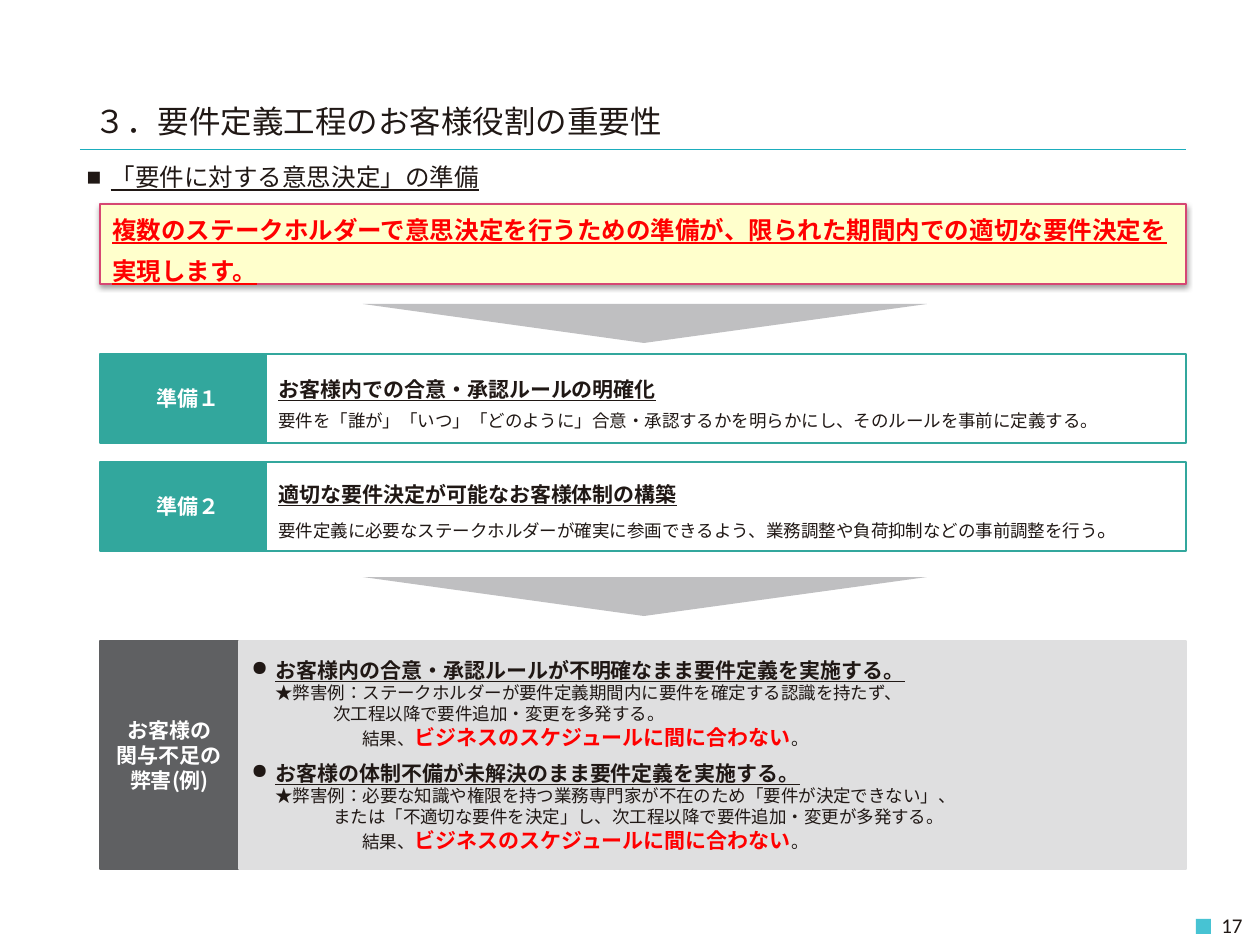
from lxml import etree
from pptx import Presentation
from pptx.dml.color import RGBColor
from pptx.enum.lang import MSO_LANGUAGE_ID
from pptx.enum.shapes import MSO_CONNECTOR, MSO_SHAPE
from pptx.enum.text import MSO_ANCHOR, MSO_AUTO_SIZE, PP_ALIGN
from pptx.oxml import parse_xml
from pptx.oxml.ns import nsdecls, qn
from pptx.util import Pt

EMU_PER_PX = 914400 / 126
RECT, TRIANGLE = MSO_SHAPE.RECTANGLE, MSO_SHAPE.ISOSCELES_TRIANGLE
LEFT, CENTER, RIGHT = PP_ALIGN.LEFT, PP_ALIGN.CENTER, PP_ALIGN.RIGHT
MIDDLE, NO_FIT = MSO_ANCHOR.MIDDLE, MSO_AUTO_SIZE.NONE
JAPANESE = MSO_LANGUAGE_ID.JAPANESE
GOTHIC = "Noto Sans CJK JP"
COLORS = {
    "ink": "201815", "white": "FFFFFF", "red": "FF0000", "teal": "32A79D",
    "rule": "1BADBD", "marker": "47C3D3", "arrow": "BFBFC1", "cream": "FFFFCC",
    "pink": "D64773", "dark": "5F6062", "pale": "DFDFE0",
}


def px(*lengths):
    return [round(length * EMU_PER_PX) for length in lengths]


def write(frame, text, size=12, color="ink", bold=False, underline=False, font=GOTHIC,
          align=LEFT, spacing=1.0, before=0, indent=0, hang=0, bullet=None, join=False):
    """Add a paragraph to the frame, or extend its last one when join is set."""
    paragraph = frame.paragraphs[-1]
    if not join:
        if paragraph.runs:
            paragraph = frame.add_paragraph()
        paragraph.alignment = align
        paragraph.line_spacing = spacing
        paragraph.space_before = Pt(before)
        props = paragraph._p.get_or_add_pPr()
        margin, first = px(indent, -hang)
        props.set("marL", str(margin))
        props.set("indent", str(first))
        if bullet:
            etree.SubElement(props, qn("a:buChar")).set("char", bullet)
        else:
            etree.SubElement(props, qn("a:buNone"))
    run = paragraph.add_run()
    run.text = text
    run.font.size = Pt(size)
    run.font.bold = bold
    run.font.underline = underline
    run.font.language_id = JAPANESE
    run.font.color.rgb = RGBColor.from_string(COLORS[color])
    run.font.name = font
    etree.SubElement(run._r.get_or_add_rPr(), qn("a:ea")).set("typeface", font)


prs = Presentation()
prs.slide_width, prs.slide_height = px(1260, 945)
slide = prs.slides.add_slide(prs.slide_layouts[1])
shapes = slide.shapes


def add_box(left, top, width, height, fill, line=None, kind=RECT):
    box = shapes.add_shape(kind, *px(left, top, width, height))
    box.shadow.inherit = False
    box.fill.solid()
    box.fill.fore_color.rgb = RGBColor.from_string(COLORS[fill])
    if line:
        box.line.color.rgb = RGBColor.from_string(COLORS[line])
        box.line.width = Pt(0.75)
    else:
        box.line.fill.background()
    box.text_frame.word_wrap = True
    box.text_frame.vertical_anchor = MIDDLE
    return box


# Title and subtitle
title, subtitle = slide.placeholders
for holder, place in ((title, (82, 96, 925, 49)), (subtitle, (74, 155, 1121, 43))):
    holder.left, holder.top, holder.width, holder.height = px(*place)
    holder.text_frame.auto_size = NO_FIT
    holder.text_frame.vertical_anchor = MIDDLE
write(title.text_frame, "３．要件定義工程のお客様役割の重要性", size=18)
write(subtitle.text_frame, "「要件に対する意思決定」の準備", size=14, underline=True,
      indent=24, hang=24, bullet="■")

# Rule under the title
rule = shapes.add_connector(MSO_CONNECTOR.STRAIGHT, *px(80, 149, 1186, 149))
rule.line.color.rgb = RGBColor.from_string(COLORS["rule"])
rule.line.width = Pt(0.25)
etree.SubElement(rule._element.spPr, qn("a:effectLst"))

# Page number
add_box(1196, 919, 15, 15, "marker")
page_number = shapes.add_textbox(*px(1080, 906, 175, 39)).text_frame
page_number.word_wrap = True
write(page_number, "17", font="Calibri", align=RIGHT)

# Key message
message = add_box(100, 204, 1086, 80, "cream", "pink")
message_props = message._element.spPr
message_props.remove(message_props.find(qn("a:effectLst")))
message_props.append(parse_xml(
    f'<a:effectLst {nsdecls("a")}><a:outerShdw blurRad="40000" dist="20000" dir="5400000" '
    'rotWithShape="0"><a:srgbClr val="000000"><a:alpha val="38000"/></a:srgbClr>'
    '</a:outerShdw></a:effectLst>'))
write(message.text_frame,
      "複数のステークホルダーで意思決定を行うための準備が、限られた期間内での適切な要件決定を実現します。",
      size=14, color="red", bold=True, underline=True, spacing=1.4)

# Downward arrows
for top in (304, 577):
    arrow = add_box(363, top, 564, 39, "arrow", kind=TRIANGLE)
    arrow.rotation = 180
    arrow.adjustments[0] = 0.502

# Preparations
preparations = [
    ("準備１", "お客様内での合意・承認ルールの明確化",
     "要件を「誰が」「いつ」「どのように」合意・承認するかを明らかにし、そのルールを事前に定義する", 10),
    ("準備２", "適切な要件決定が可能なお客様体制の構築",
     "要件定義に必要なステークホルダーが確実に参画できるよう、業務調整や負荷抑制などの事前調整を行う", 12),
]
for row, (label, heading, detail, stop_size) in enumerate(preparations):
    top = 354 + 108 * row
    tag = add_box(100, top, 176, 89, "teal", "teal").text_frame
    write(tag, label, color="white", bold=True, align=CENTER)
    content = add_box(266, top, 920, 89, "white", "teal").text_frame
    write(content, heading, bold=True, underline=True, spacing=1.4)
    write(content, detail, size=10, spacing=1.4)
    write(content, "。", size=stop_size, join=True)

# Harms of too little involvement
harm_tag = add_box(100, 641, 139, 228, "dark", "dark").text_frame
for line in ("お客様の", "関与不足の", "弊害(例)"):
    write(harm_tag, line, color="white", bold=True, align=CENTER)

harms = [
    ("お客様内の合意・承認ルールが不明確なまま要件定義を実施する。",
     "★弊害例：ステークホルダーが要件定義期間内に要件を確定する認識を持たず、",
     "次工程以降で要件追加・変更を多発する。"),
    ("お客様の体制不備が未解決のまま要件定義を実施する。",
     "★弊害例：必要な知識や権限を持つ業務専門家が不在のため「要件が決定できない」、",
     "または「不適切な要件を決定」し、次工程以降で要件追加・変更が多発する。"),
]
harm_list = add_box(239, 641, 947, 228, "pale", "pale").text_frame
for heading, example, continuation in harms:
    write(harm_list, heading, bold=True, underline=True, before=6,
          indent=24, hang=24, bullet="●")
    write(harm_list, example, size=10, indent=24)
    write(harm_list, continuation, size=10, indent=82)
    write(harm_list, "結果、", size=10, indent=111)
    write(harm_list, "ビジネスのスケジュールに間に合わない", color="red", bold=True, join=True)
    write(harm_list, "。", size=10, join=True)

prs.save("out.pptx")
